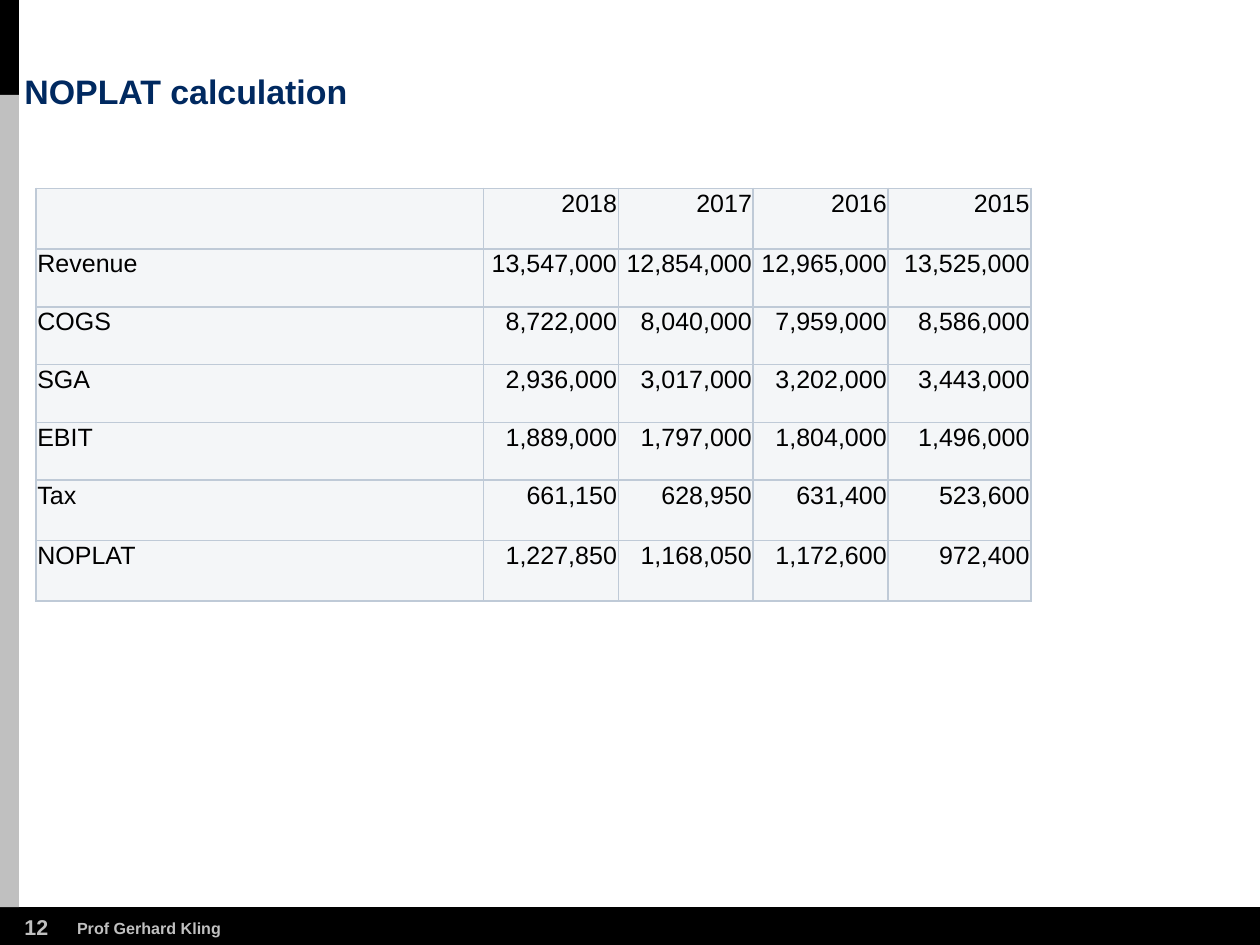
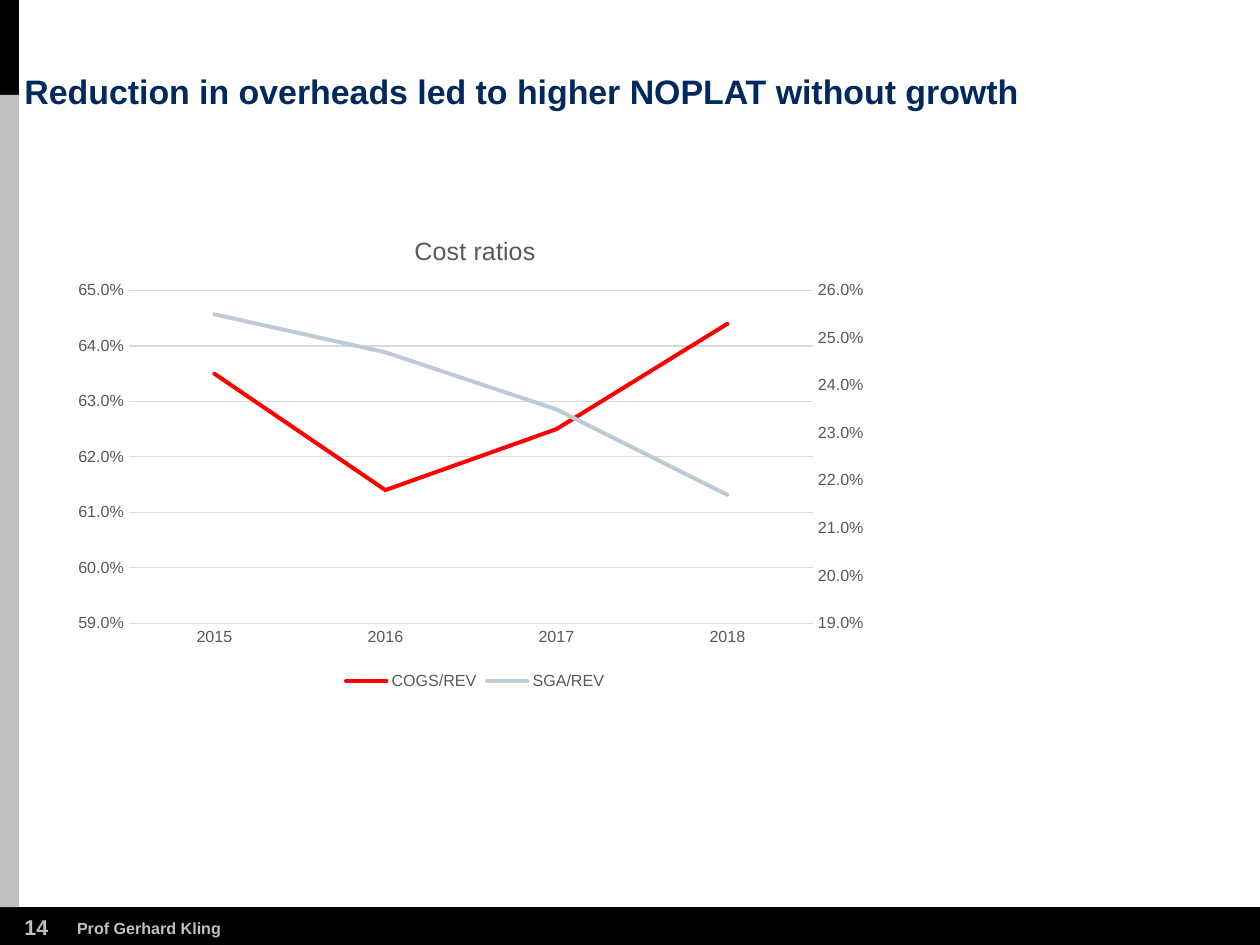
from copy import deepcopy
from typing import NamedTuple

from lxml.etree import SubElement
from pptx import Presentation
from pptx.chart.chart import Chart
from pptx.chart.data import CategoryChartData
from pptx.dml.color import RGBColor
from pptx.enum.chart import XL_CHART_TYPE, XL_LEGEND_POSITION, XL_TICK_MARK
from pptx.enum.shapes import MSO_SHAPE
from pptx.enum.text import MSO_ANCHOR, PP_ALIGN
from pptx.oxml import parse_xml
from pptx.oxml.ns import nsdecls, qn
from pptx.slide import Slide
from pptx.table import _Cell
from pptx.util import Inches, Pt

WIDTH, HEIGHT = Inches(9.8), Inches(7.35)
FONT = "Arial"
COLORS = {
    "black": "000000",
    "silver": "C0C0C0",
    "navy": "002960",
    "cell": "F4F6F8",
    "steel": "BFCAD7",
    "red": "FF0000",
    "label": "595959",
    "grid": "D9D9D9",
}


class Box(NamedTuple):
    """Position and size in percent of the slide."""

    x: float
    y: float
    w: float
    h: float

    def emu(self) -> tuple[int, int, int, int]:
        """Return the box as lengths on the slide."""
        return across(self.x), down(self.y), across(self.w), down(self.h)


class Band(NamedTuple):
    """Plain filled rectangle."""

    box: Box
    color: str


class Style(NamedTuple):
    """Place and look of a line of text."""

    box: Box
    size: float
    color: str
    anchor: MSO_ANCHOR = MSO_ANCHOR.TOP
    wrap: bool = False
    spacing: float = 1.0


class Series(NamedTuple):
    """Chart line with the range of its own axis."""

    name: str
    color: str
    values: tuple[float, ...]
    low: float
    high: float


BANDS = (
    Band(Box(0, 96, 100, 4), "black"),
    Band(Box(0, 0, 1.5, 10.05), "black"),
    Band(Box(0, 10.05, 1.5, 85.95), "silver"),
)
TITLE = Style(Box(1.94, 7.89, 87.76, 3.95), 19, "navy", MSO_ANCHOR.BOTTOM, True, 0.9)
NUMBER = Style(Box(1.94, 96.73, 2.04, 2.72), 12, "silver")
FOOTER = Style(Box(6.12, 97.14, 11.53, 2.04), 9, "silver")

TABLE_BOX = Box(2.86, 19.95, 78.97, 43.68)
COLUMNS = (35.51, 10.71, 10.71, 10.71, 11.33)
ROWS = (6.4, 6.12, 6.12, 6.12, 6.12, 6.4, 6.4)
NOPLAT = (
    ("", "2018", "2017", "2016", "2015"),
    ("Revenue", "13,547,000", "12,854,000", "12,965,000", "13,525,000"),
    ("COGS", "8,722,000", "8,040,000", "7,959,000", "8,586,000"),
    ("SGA", "2,936,000", "3,017,000", "3,202,000", "3,443,000"),
    ("EBIT", "1,889,000", "1,797,000", "1,804,000", "1,496,000"),
    ("Tax", "661,150", "628,950", "631,400", "523,600"),
    ("NOPLAT", "1,227,850", "1,168,050", "1,172,600", "972,400"),
)

CHART_BOX = Box(5, 22.59, 65.41, 51.02)
PLOT = {"x": 0.08, "y": 0.16, "w": 0.83, "h": 0.69}
YEARS = ("2015", "2016", "2017", "2018")
RATIOS = (
    Series("COGS/REV", "red", (0.635, 0.614, 0.625, 0.644), 0.59, 0.65),
    Series("SGA/REV", "steel", (0.255, 0.247, 0.235, 0.217), 0.19, 0.26),
)


def across(share: float) -> int:
    """Turn a percentage of the slide width into a length."""
    return round(WIDTH * share / 100)


def down(share: float) -> int:
    """Turn a percentage of the slide height into a length."""
    return round(HEIGHT * share / 100)


def rgb(name: str) -> RGBColor:
    """Look up a named colour."""
    return RGBColor.from_string(COLORS[name])


def set_font(font, size: float, color: str, bold: bool = False) -> None:
    """Apply the deck font."""
    font.name, font.size, font.bold = FONT, Pt(size), bold
    font.color.rgb = rgb(color)


def add_text(s: Slide, text: str, style: Style) -> None:
    """Add a bold line of text."""
    tf = s.shapes.add_textbox(*style.box.emu()).text_frame
    tf.margin_left = tf.margin_right = tf.margin_top = tf.margin_bottom = 0
    tf.word_wrap, tf.vertical_anchor = style.wrap, style.anchor
    p = tf.paragraphs[0]
    p.text, p.line_spacing = text, style.spacing
    set_font(p.runs[0].font, style.size, style.color, True)


def add_page(prs, number: int, title: str) -> Slide:
    """Add a slide with the shared bands, footer and title."""
    s = prs.slides.add_slide(prs.slide_layouts[6])
    for band in BANDS:
        sp = s.shapes.add_shape(MSO_SHAPE.RECTANGLE, *band.box.emu())
        sp.shadow.inherit = False
        sp.fill.solid()
        sp.fill.fore_color.rgb = rgb(band.color)
        sp.line.fill.background()
    add_text(s, str(number), NUMBER)
    add_text(s, "Prof Gerhard Kling", FOOTER)
    add_text(s, title, TITLE)
    return s


def style_cell(cell: _Cell, text: str, align: PP_ALIGN) -> None:
    """Fill, border and write one table cell."""
    cell.margin_left = cell.margin_right = cell.margin_top = Inches(0.01)
    cell.margin_bottom = 0
    tc_pr = cell._tc.get_or_add_tcPr()
    for side in ("lnL", "lnR", "lnT", "lnB"):
        ln = SubElement(tc_pr, qn(f"a:{side}"), w=str(Pt(1)))
        fill = SubElement(ln, qn("a:solidFill"))
        SubElement(fill, qn("a:srgbClr"), val=COLORS["steel"])
    cell.fill.solid()
    cell.fill.fore_color.rgb = rgb("cell")
    p = cell.text_frame.paragraphs[0]
    p.text, p.alignment = text, align
    set_font(p.font, 14, "black")
    for r in p.runs:
        set_font(r.font, 14, "black")


def add_noplat_table(s: Slide) -> None:
    """Add the table of NOPLAT by year."""
    frame = s.shapes.add_table(len(ROWS), len(COLUMNS), *TABLE_BOX.emu())
    table = frame.table
    table.first_row = table.horz_banding = False
    for column, share in zip(table.columns, COLUMNS):
        column.width = across(share)
    for row, share, texts in zip(table.rows, ROWS, NOPLAT):
        row.height = down(share)
        for i, (cell, text) in enumerate(zip(row.cells, texts)):
            style_cell(cell, text, PP_ALIGN.RIGHT if i else PP_ALIGN.LEFT)


def style_axes(chart: Chart, ratio: Series) -> None:
    """Style the category axis and the left value axis."""
    for axis in (chart.category_axis, chart.value_axis):
        axis.major_tick_mark = axis.minor_tick_mark = XL_TICK_MARK.NONE
        set_font(axis.tick_labels.font, 9, "label")
    value = chart.value_axis
    value.minimum_scale, value.maximum_scale = ratio.low, ratio.high
    value.major_unit = 0.01
    value.tick_labels.number_format = "0.0%"
    value.tick_labels.number_format_is_linked = False
    value.format.line.fill.background()
    value.has_major_gridlines = True
    for line in (value.major_gridlines.format.line, chart.category_axis.format.line):
        line.color.rgb, line.width = rgb("grid"), Pt(0.75)


def move_to_right_axis(chart: Chart, ratio: Series) -> None:
    """Move the last series to a second value axis."""
    left = chart.element.find(f".//{qn('c:lineChart')}")
    cat, val = (left.getparent().find(qn(f"c:{tag}")) for tag in ("catAx", "valAx"))
    right, right_cat, right_val = (deepcopy(part) for part in (left, cat, val))
    left.remove(left.findall(qn("c:ser"))[-1])
    right.remove(right.find(qn("c:ser")))
    ids = {a.get("val"): str(i) for i, a in enumerate(left.findall(qn("c:axId")), 101)}
    for part in (right, right_cat, right_val):
        for ref in part.iter(qn("c:axId"), qn("c:crossAx")):
            ref.set("val", ids[ref.get("val")])
    right_cat.find(qn("c:delete")).set("val", "1")
    right_val.remove(right_val.find(qn("c:majorGridlines")))
    right_val.find(qn("c:axPos")).set("val", "r")
    right_val.find(qn("c:crosses")).set("val", "max")
    scaling = right_val.find(qn("c:scaling"))
    scaling.find(qn("c:min")).set("val", str(ratio.low))
    scaling.find(qn("c:max")).set("val", str(ratio.high))
    left.addnext(right)
    val.addnext(right_val)
    right_val.addnext(right_cat)


def place_plot(chart: Chart) -> None:
    """Fix the inner plot area inside the chart."""
    area = chart.element.find(f".//{qn('c:plotArea')}")
    for old in area.findall(qn("c:layout")):
        area.remove(old)
    layout = parse_xml(f"<c:layout {nsdecls('c')}/>")
    manual = SubElement(layout, qn("c:manualLayout"))
    SubElement(manual, qn("c:layoutTarget"), val="inner")
    for key in "xy":
        SubElement(manual, qn(f"c:{key}Mode"), val="edge")
    for key, share in PLOT.items():
        SubElement(manual, qn(f"c:{key}"), val=str(share))
    area.insert(0, layout)


def add_ratio_chart(s: Slide) -> None:
    """Add the line chart of cost ratios."""
    data = CategoryChartData(number_format="0.0%")
    data.categories = YEARS
    for ratio in RATIOS:
        data.add_series(ratio.name, ratio.values)
    chart = s.shapes.add_chart(XL_CHART_TYPE.LINE, *CHART_BOX.emu(), data).chart
    set_font(chart.font, 10, "black")
    chart.has_title = True
    p = chart.chart_title.text_frame.paragraphs[0]
    p.text = "Cost ratios"
    set_font(p.runs[0].font, 14, "label")
    chart.chart_title.include_in_layout = False
    chart.has_legend = True
    chart.legend.position = XL_LEGEND_POSITION.BOTTOM
    chart.legend.include_in_layout = False
    set_font(chart.legend.font, 9, "label")
    plot = chart.plots[0]
    plot.vary_by_categories = False
    for series, ratio in zip(plot.series, RATIOS):
        series.smooth = False
        series.format.line.color.rgb = rgb(ratio.color)
        series.format.line.width = Pt(2.25)
    for ln in chart.element.iter(qn("a:ln")):
        ln.set("cap", "rnd")
    style_axes(chart, RATIOS[0])
    move_to_right_axis(chart, RATIOS[1])
    place_plot(chart)


def main() -> None:
    """Build and save the deck."""
    prs = Presentation()
    prs.slide_width, prs.slide_height = WIDTH, HEIGHT
    add_noplat_table(add_page(prs, 12, "NOPLAT calculation"))
    title = "Reduction in overheads led to higher NOPLAT without growth"
    add_ratio_chart(add_page(prs, 14, title))
    prs.save("out.pptx")


if __name__ == "__main__":
    main()
